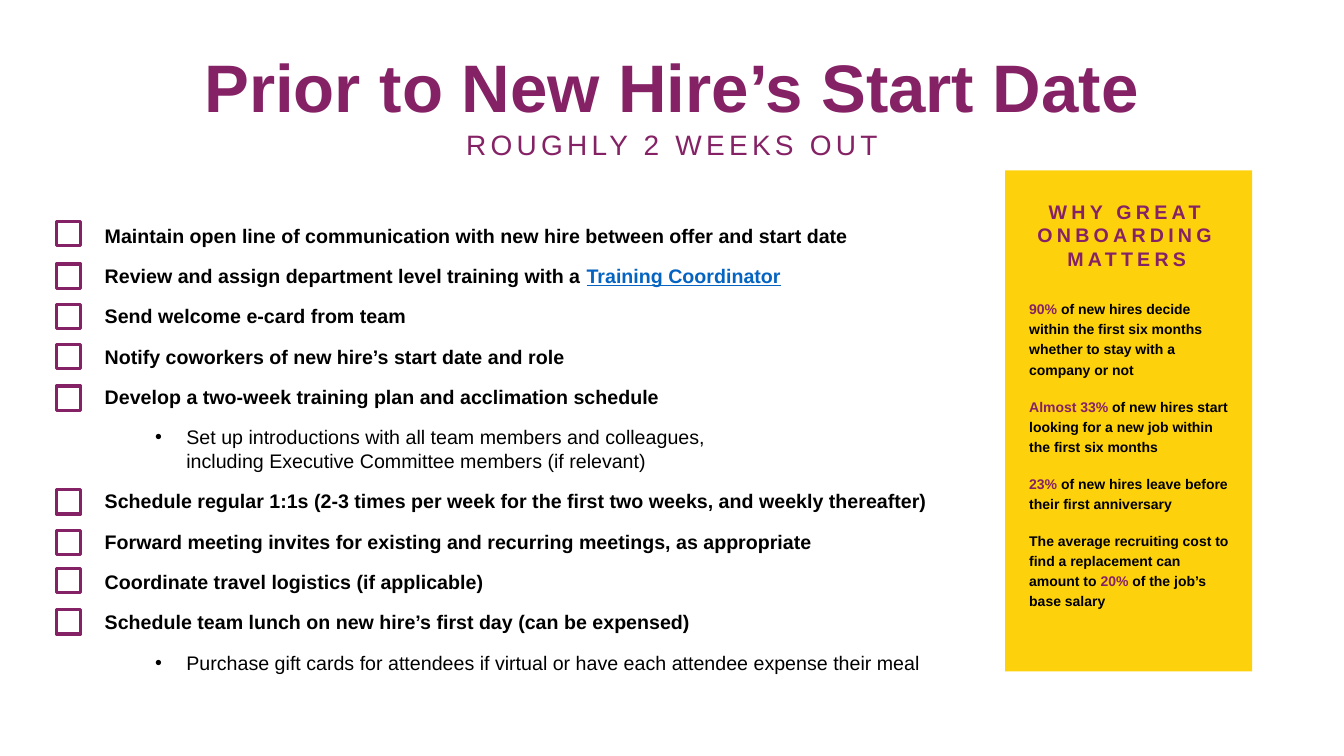
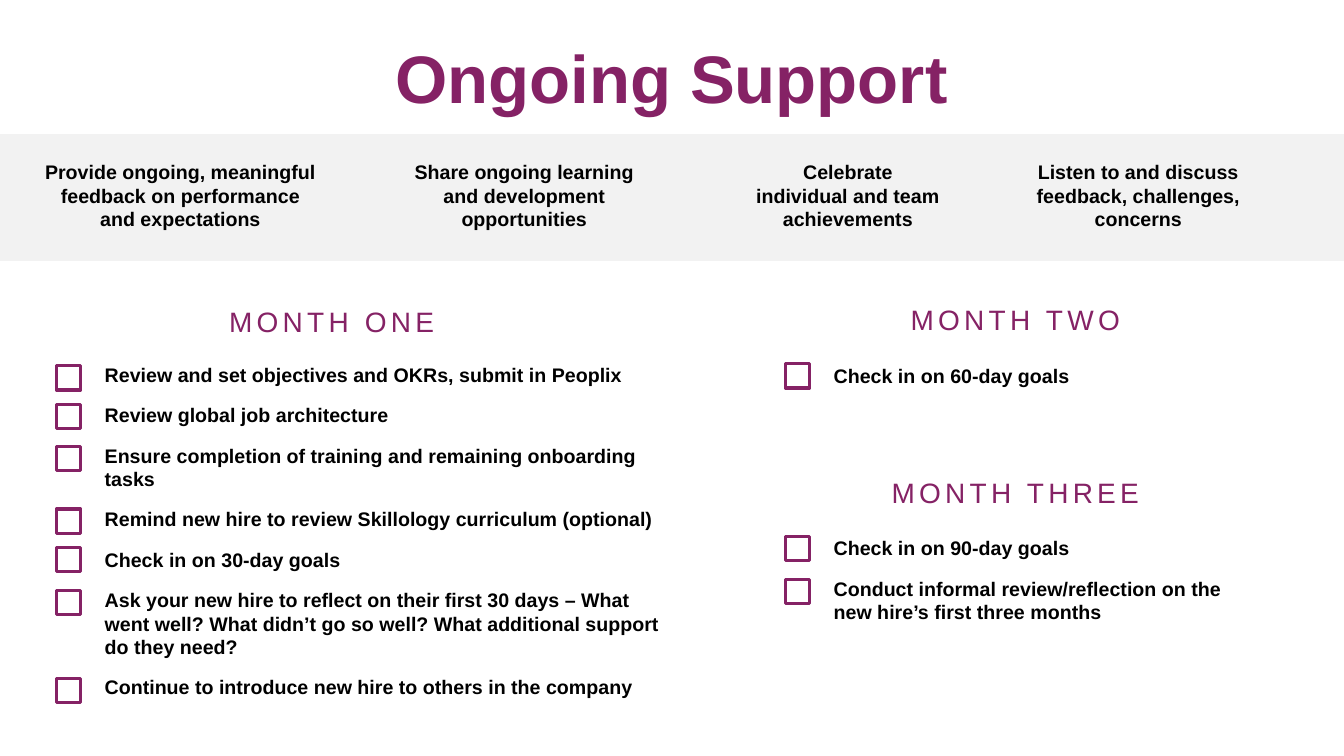
from copy import deepcopy

from lxml import etree
from pptx import Presentation
from pptx import util as u
from pptx.dml.color import RGBColor
from pptx.enum import shapes, text
from pptx.oxml.ns import qn

FONT = "Arial"
PLUM, YELLOW, GRAY = "852265", "FDD10B", "F2F2F2"
BLACK, WHITE, BLUE = "000000", "FFFFFF", "0563C1"
SLIDE_WIDTH = 13.33
CHECK_SIZE, CHECK_GAP = 0.24, 0.38


def color(code):
    """Turn a hex string into a colour."""
    return RGBColor.from_string(code)


def add_span(para, words, size, code=BLACK, bold=True, spacing=0, underline=False):
    """Add formatted runs to a paragraph, with a line break at each newline."""
    properties = None
    for line in words.split("\n"):
        if properties is not None:
            para.add_line_break()
            para._p[-1].append(deepcopy(properties))
        span = para.add_run()
        span.text = line
        font = span.font
        font.name, font.size, font.bold = FONT, u.Pt(size), bold
        font.color.rgb = color(code)
        if underline:
            font.underline = True
        properties = span._r.get_or_add_rPr()
        if spacing:
            properties.set("spc", str(spacing * 100))


def add_box(slide, left, top, width, height):
    """Add a wrapping text box and return its text frame."""
    box = slide.shapes.add_textbox(*map(u.Inches, (left, top, width, height)))
    box.text_frame.word_wrap = True
    return box.text_frame


def add_paragraphs(frame, paragraphs, size, align=text.PP_ALIGN.LEFT, line_spacing=None):
    """Fill a frame with spaced paragraphs, each a list of (words, style) spans."""
    for index, spans in enumerate(paragraphs):
        para = frame.add_paragraph() if index else frame.paragraphs[0]
        para.alignment = align
        para.line_spacing = line_spacing
        para.space_before = u.Pt(12)
        for words, style in spans:
            add_span(para, words, size, **style)


def add_bullet(para):
    """Give a paragraph a hanging round bullet."""
    properties = para._p.get_or_add_pPr()
    properties.set("marL", str(u.Inches(0.81)))
    properties.set("indent", str(u.Inches(-0.31)))
    etree.SubElement(properties, qn("a:buFont")).set("typeface", FONT)
    etree.SubElement(properties, qn("a:buChar")).set("char", "•")


def add_rectangle(slide, left, top, width, height, fill, line=None):
    """Add a flat rectangle with an optional outline."""
    box = slide.shapes.add_shape(
        shapes.MSO_SHAPE.RECTANGLE, *map(u.Inches, (left, top, width, height)))
    box.shadow.inherit = False
    box.fill.solid()
    box.fill.fore_color.rgb = color(fill)
    if line:
        box.line.color.rgb = color(line)
        box.line.width = u.Pt(2.25)
    else:
        box.line.fill.background()


def add_slide(deck, title, top):
    """Add a title-only slide with a large centred title."""
    slide = deck.slides.add_slide(deck.slide_layouts[5])
    box = slide.shapes.title
    box.left, box.top = u.Inches(0), u.Inches(top)
    box.width, box.height = u.Inches(SLIDE_WIDTH), u.Inches(0.91)
    frame = box.text_frame
    frame.auto_size = text.MSO_AUTO_SIZE.NONE
    frame.vertical_anchor = text.MSO_ANCHOR.TOP
    para = frame.paragraphs[0]
    para.alignment = text.PP_ALIGN.CENTER
    add_span(para, title, 48, PLUM)
    return slide


def add_heading(slide, words, center, top):
    """Add a letter-spaced heading around a centre line."""
    width = 5
    para = add_box(slide, center - width / 2, top, width, 0.44).paragraphs[0]
    para.alignment = text.PP_ALIGN.CENTER
    add_span(para, words, 20, PLUM, bold=False, spacing=3)


def add_checklist(slide, left, top, width, height, items):
    """Add (check top, spans) items; an item without a check top is a bullet."""
    frame = add_box(slide, left, top, width, height)
    add_paragraphs(frame, [spans for _, spans in items], 14)
    for para, (check_top, _) in zip(frame.paragraphs, items):
        if check_top is None:
            add_bullet(para)
        else:
            add_rectangle(slide, left - CHECK_GAP, check_top,
                          CHECK_SIZE, CHECK_SIZE, WHITE, PLUM)


def plain(words):
    """Return the spans of a bold black paragraph."""
    return [(words, {})]


def light(words):
    """Return the spans of a regular black paragraph."""
    return [(words, {"bold": False})]


def accent(words):
    """Return one plum span."""
    return words, {"code": PLUM}


def add_sidebar(slide):
    """Add the yellow panel of onboarding facts."""
    add_rectangle(slide, 9.97, 1.69, 2.45, 4.97, YELLOW)
    para = add_box(slide, 10.07, 1.93, 2.21, 0.81).paragraphs[0]
    para.alignment = text.PP_ALIGN.CENTER
    add_span(para, "WHY GREAT ONBOARDING MATTERS", 14, PLUM, spacing=3)
    facts = [
        [accent("90% "), ("of new hires decide within the first six months "
                          "whether to stay with a company or not", {})],
        [accent("Almost 33% "), ("of new hires start looking for a new job "
                                 "within the first six months", {})],
        [accent("23% "), ("of new hires leave before their first anniversary", {})],
        [("The average recruiting cost to find a replacement can amount to ", {}),
         accent("20%"), (" of the job’s base salary", {})],
    ]
    add_paragraphs(add_box(slide, 10.11, 2.9, 2.2, 3.58), facts, 10, line_spacing=1.2)


def build_prior(deck):
    """Build the slide on the weeks before the start date."""
    slide = add_slide(deck, "Prior to New Hire’s Start Date", 0.4)
    add_heading(slide, "ROUGHLY 2 WEEKS OUT", SLIDE_WIDTH / 2, 1.22)
    add_checklist(slide, 0.94, 2.17, 9.62, 5.02, [
        (2.2, plain("Maintain open line of communication with new hire "
                    "between offer and start date")),
        (2.62, [("Review and assign department level training with a ", {}),
                ("Training Coordinator", {"code": BLUE, "underline": True})]),
        (3.02, plain("Send welcome e-card from team")),
        (3.42, plain("Notify coworkers of new hire’s start date and role")),
        (3.83, plain("Develop a two-week training plan and acclimation schedule")),
        (None, light("Set up introductions with all team members and colleagues,\n"
                     "including Executive Committee members (if relevant)")),
        (4.86, plain("Schedule regular 1:1s (2-3 times per week for the first "
                     "two weeks, and weekly thereafter)")),
        (5.26, plain("Forward meeting invites for existing and recurring "
                     "meetings, as appropriate")),
        (5.64, plain("Coordinate travel logistics (if applicable)")),
        (6.05, plain("Schedule team lunch on new hire’s first day (can be expensed)")),
        (None, light("Purchase gift cards for attendees if virtual or have each "
                     "attendee expense their meal")),
    ])
    add_sidebar(slide)


def build_support(deck):
    """Build the slide on support over the first three months."""
    slide = add_slide(deck, "Ongoing Support", 0.31)
    add_rectangle(slide, 0, 1.33, SLIDE_WIDTH, 1.26, GRAY)
    for left, width, words in [
        (0.32, 2.94, "Provide ongoing, meaningful feedback on performance and expectations"),
        (3.89, 2.62, "Share ongoing learning and development opportunities"),
        (7.28, 2.26, "Celebrate\nindividual and team achievements"),
        (9.83, 2.92, "Listen to and discuss feedback, challenges, concerns"),
    ]:
        add_paragraphs(add_box(slide, left, 1.54, width, 0.81), [plain(words)],
                       14, text.PP_ALIGN.CENTER)

    add_heading(slide, "MONTH ONE", 3.29, 2.97)
    add_checklist(slide, 0.94, 3.55, 5.73, 4.27, [
        (3.63, plain("Review and set objectives and OKRs, submit in Peoplix")),
        (4.01, plain("Review global job architecture")),
        (4.43, plain("Ensure completion of training and remaining onboarding tasks")),
        (5.05, plain("Remind new hire to review Skillology curriculum (optional)")),
        (5.43, plain("Check in on 30-day goals")),
        (5.86, plain("Ask your new hire to reflect on their first 30 days – What went "
                     "well? What didn’t go so well? What additional support do they need?")),
        (6.73, plain("Continue to introduce new hire to others in the company")),
    ])

    add_heading(slide, "MONTH TWO", 10.07, 2.95)
    add_checklist(slide, 8.17, 3.56, 4.24, 0.34, [
        (3.61, plain("Check in on 60-day goals")),
    ])

    add_heading(slide, "MONTH THREE", 10.07, 4.67)
    add_checklist(slide, 8.17, 5.27, 4.24, 1.38, [
        (5.32, plain("Check in on 90-day goals")),
        (5.75, plain("Conduct informal review/reflection on the new hire’s "
                     "first three months")),
    ])


def main():
    """Build and save the deck."""
    deck = Presentation()
    deck.slide_width, deck.slide_height = u.Inches(SLIDE_WIDTH), u.Inches(7.5)
    build_prior(deck)
    build_support(deck)
    deck.save("out.pptx")


if __name__ == "__main__":
    main()
